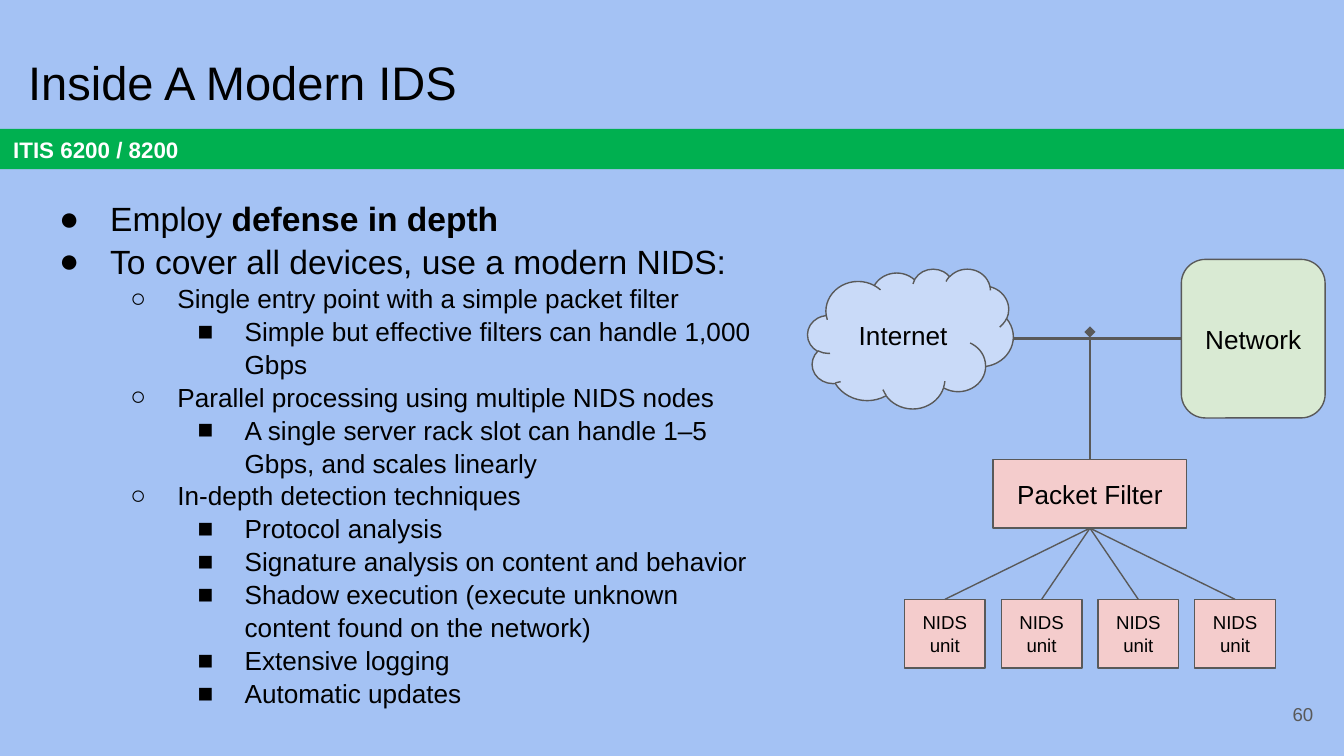
import pptx
import pptx.dml.color
import pptx.enum.shapes
import pptx.enum.text
import pptx.oxml.ns
import pptx.util
from lxml import etree

Inches = pptx.util.Inches
Pt = pptx.util.Pt
RGBColor = pptx.dml.color.RGBColor
MSO_SHAPE = pptx.enum.shapes.MSO_SHAPE
MSO_ANCHOR = pptx.enum.text.MSO_ANCHOR
PP_ALIGN = pptx.enum.text.PP_ALIGN
qn = pptx.oxml.ns.qn

BLACK = RGBColor(0x00, 0x00, 0x00)
WHITE = RGBColor(0xFF, 0xFF, 0xFF)
GRAY = RGBColor(0x59, 0x59, 0x59)
BACKGROUND = RGBColor(0xA4, 0xC2, 0xF4)
GREEN = RGBColor(0x00, 0xB0, 0x50)
PALE_BLUE = RGBColor(0xC9, 0xDA, 0xF8)
PALE_GREEN = RGBColor(0xD9, 0xEA, 0xD3)
PALE_RED = RGBColor(0xF4, 0xCC, 0xCC)

# Per level: bullet, text size, left margin, hanging indent
LEVELS = [("●", 18, 0.5, 0.38), ("○", 14, 1, 0.35), ("■", 14, 1.5, 0.35)]

# Each item is a level and its (text, bold) pieces
ITEMS = [
    (0, [("Employ ", False), ("defense in depth", True)]),
    (0, [("To cover all devices, use a modern NIDS:", False)]),
    (1, [("Single entry point with a simple packet filter", False)]),
    (2, [("Simple but effective filters can handle 1,000 Gbps", False)]),
    (1, [("Parallel processing using multiple NIDS nodes", False)]),
    (2, [("A single server rack slot can handle 1–5 Gbps, and scales linearly", False)]),
    (1, [("In-depth detection techniques", False)]),
    (2, [("Protocol analysis", False)]),
    (2, [("Signature analysis on content and behavior", False)]),
    (2, [("Shadow execution (execute unknown content found on the network)", False)]),
    (2, [("Extensive logging", False)]),
    (2, [("Automatic updates", False)]),
]


class SlideBuilder:
    font = "Arial"
    inset = Inches(0.1)

    def __init__(self, slide):
        self.s = slide
        fill = slide.background.fill
        fill.solid()
        fill.fore_color.rgb = BACKGROUND

    def place(self, sp, box):
        sp.left, sp.top, sp.width, sp.height = [Inches(v) for v in box]

    def frame(self, sp, anchor):
        tf = sp.text_frame
        tf.word_wrap = True
        tf.auto_size = pptx.enum.text.MSO_AUTO_SIZE.NONE
        tf.vertical_anchor = anchor
        tf.margin_left = tf.margin_right = self.inset
        tf.margin_top = tf.margin_bottom = self.inset
        return tf

    def style(self, p, size, color=BLACK, bold=False, align=PP_ALIGN.LEFT):
        p.alignment = align
        for r in p.runs:
            r.font.name = self.font
            r.font.size = Pt(size)
            r.font.color.rgb = color
            r.font.bold = bold

    def title(self, text, box):
        sp = self.s.shapes.title
        self.place(sp, box)
        tf = self.frame(sp, MSO_ANCHOR.TOP)
        tf.text = text
        self.style(tf.paragraphs[0], 25.2)

    def bullets(self, items, box):
        sp = self.s.placeholders[1]
        self.place(sp, box)
        tf = self.frame(sp, MSO_ANCHOR.TOP)
        for i, (level, pieces) in enumerate(items):
            p = tf.add_paragraph() if i else tf.paragraphs[0]
            bullet, size, margin, hanging = LEVELS[level]
            p.level = level
            p.line_spacing = 1.05
            p.space_before = p.space_after = Pt(0)
            for text, _ in pieces:
                p.add_run().text = text
            self.style(p, size)
            for r, (_, bold) in zip(p.runs, pieces):
                r.font.bold = bold
            pPr = p._p.get_or_add_pPr()
            pPr.set("marL", str(Inches(margin)))
            pPr.set("indent", str(-Inches(hanging)))
            color = etree.SubElement(pPr, qn("a:buClr"))
            etree.SubElement(color, qn("a:srgbClr"), val=str(BLACK))
            etree.SubElement(pPr, qn("a:buFont"), typeface=self.font)
            etree.SubElement(pPr, qn("a:buChar"), char=bullet)

    def label(self, text, box, size, color, align):
        sp = self.s.shapes.add_textbox(*[Inches(v) for v in box])
        tf = self.frame(sp, MSO_ANCHOR.MIDDLE)
        tf.text = text
        self.style(tf.paragraphs[0], size, color, align=align)

    def shape(self, kind, text, box, fill, size=14, color=BLACK, bold=False,
              align=PP_ALIGN.CENTER, outline=GRAY):
        sp = self.s.shapes.add_shape(kind, *[Inches(v) for v in box])
        sp.shadow.inherit = False
        sp.fill.solid()
        sp.fill.fore_color.rgb = fill
        if outline is None:
            sp.line.fill.background()
        else:
            sp.line.color.rgb = outline
            sp.line.width = Pt(0.75)
        tf = self.frame(sp, MSO_ANCHOR.MIDDLE)
        tf.text = text
        self.style(tf.paragraphs[0], size, color, bold, align)
        return sp

    def line(self, start=(0, 0), end=(0, 0), width=0.75, begin=None, finish=None, tail=None):
        """Draw a line; begin and finish are (shape, side) joints that replace a point."""
        c = self.s.shapes.add_connector(
            pptx.enum.shapes.MSO_CONNECTOR.STRAIGHT, *[Inches(v) for v in (*start, *end)])
        if begin:
            c.begin_connect(*begin)
        if finish:
            c.end_connect(*finish)
        c.line.color.rgb = GRAY
        c.line.width = Pt(width)
        if tail:
            etree.SubElement(c.line._get_or_add_ln(), qn("a:tailEnd"), type=tail)
        etree.SubElement(c._element.spPr, qn("a:effectLst"))


def main():
    prs = pptx.Presentation()
    prs.slide_width = Inches(10)
    prs.slide_height = prs.slide_width * 9 // 16
    b = SlideBuilder(prs.slides.add_slide(prs.slide_layouts[1]))

    b.shape(MSO_SHAPE.RECTANGLE, "ITIS 6200 / 8200", (0, 0.96, 10, 0.3), GREEN,
            12, WHITE, True, PP_ALIGN.LEFT, None)
    b.title("Inside A Modern IDS", (0.11, 0.3, 9.32, 0.63))
    b.label("60", (9.27, 5.1, 0.6, 0.43), 10, GRAY, PP_ALIGN.RIGHT)
    b.bullets(ITEMS, (0.22, 1.36, 5.62, 4.12))

    b.shape(MSO_SHAPE.CLOUD, "Internet", (6.01, 2, 1.53, 1.04), PALE_BLUE)
    network = b.shape(MSO_SHAPE.ROUNDED_RECTANGLE, "Network", (8.79, 1.93, 1.07, 1.18), PALE_GREEN)
    packet_filter = b.shape(MSO_SHAPE.RECTANGLE, "Packet Filter", (7.39, 3.42, 1.44, 0.51), PALE_RED)
    b.line(start=(7.54, 2.52), width=1.5, finish=(network, 1))
    b.line(end=(8.11, 2.47), width=1.5, begin=(packet_filter, 0), tail="diamond")

    for i in range(4):
        unit = b.shape(MSO_SHAPE.RECTANGLE, "NIDS unit",
                       (6.73 + 0.72 * i, 4.46, 0.6, 0.51), PALE_RED, 10)
        b.line(begin=(packet_filter, 2), finish=(unit, 0))

    prs.save("out.pptx")


if __name__ == "__main__":
    main()
